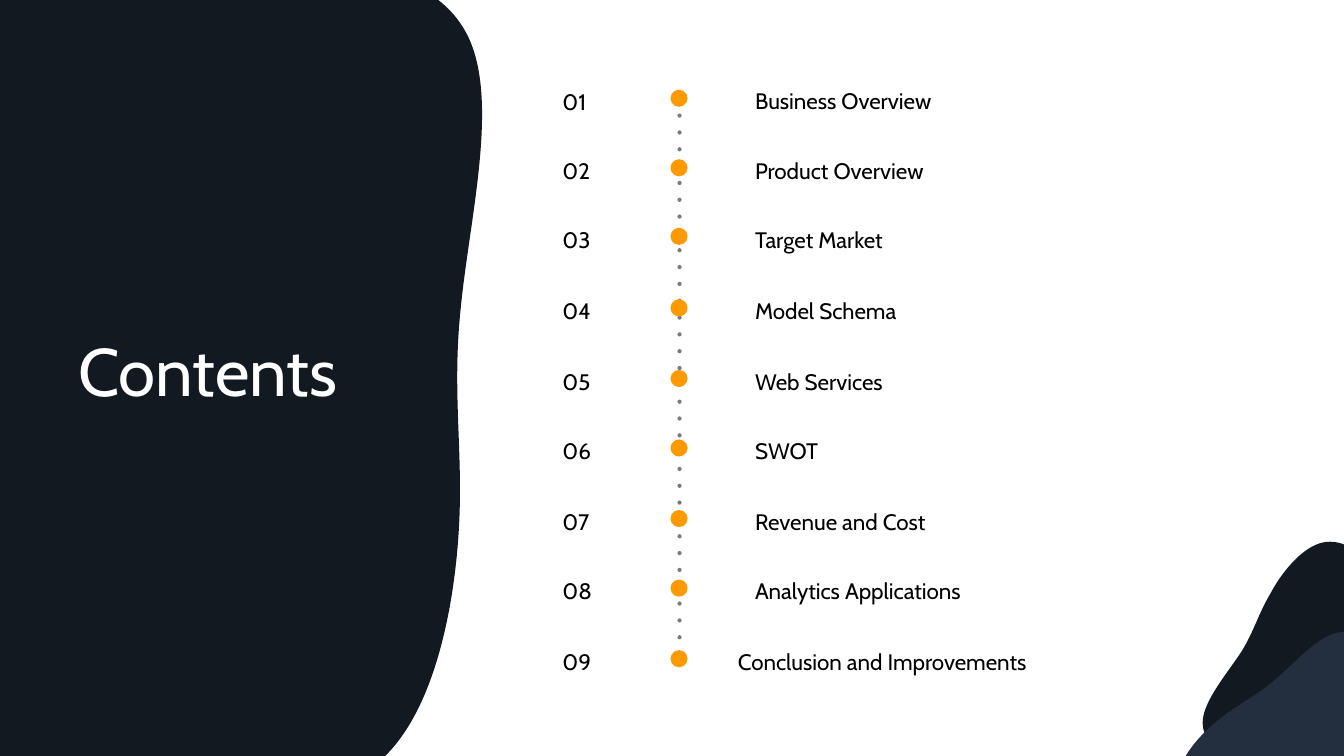
import pptx
import pptx.dml.color
import pptx.enum.shapes
import pptx.enum.text
import pptx.oxml
import pptx.oxml.ns
import pptx.util

Inches, Pt = pptx.util.Inches, pptx.util.Pt
RGBColor = pptx.dml.color.RGBColor
qn = pptx.oxml.ns.qn
NAMESPACE = pptx.oxml.ns.nsdecls("a")

# Content: topic, left edge, top, width
TOPICS = [
    ("Business Overview", 7.39, 0.74, 3.85),
    ("Product Overview", 7.39, 1.43, 2.57),
    ("Target Market", 7.39, 2.11, 2.57),
    ("Model Schema", 7.39, 2.82, 2.57),
    ("Web Services", 7.39, 3.52, 2.57),
    ("SWOT", 7.39, 4.21, 2.57),
    ("Revenue and Cost", 7.39, 4.91, 2.57),
    ("Analytics Applications", 7.39, 5.6, 2.57),
    ("Conclusion and Improvements", 7.22, 6.3, 3.29),
]

# Look
FONT = "Cabin"
INK = RGBColor(0x13, 0x19, 0x21)
NAVY = RGBColor(0x23, 0x2F, 0x3E)
ORANGE = RGBColor(0xFF, 0x99, 0x00)
GRAY = RGBColor(0x59, 0x59, 0x59)
BLACK = RGBColor(0x00, 0x00, 0x00)
WHITE = RGBColor(0xFF, 0xFF, 0xFF)

# Agenda layout
NUMBER_LEFT, AXIS_X = 5.48, 6.74
DOT_LEFT, DOT_DROP, DOT_SIZE = 6.65, 0.15, 0.17

# Outlines: start point, then segments of 2 values (line) or 6 (Bezier curve)
PANEL = [
    (2.91, -0.35),
    (3.67, -0.37, 4.44, -0.19, 4.68, 0.45),
    (4.93, 1.11, 4.65, 2.22, 4.57, 3.06),
    (4.48, 3.91, 4.6, 4.49, 4.55, 5.28),
    (4.5, 6.07, 4.3, 7.05, 3.8, 7.52),
    (3.37, 7.93, 2.72, 7.94, 2.13, 7.68),
    (1.96, 7.59), (1.96, 7.69), (0, 7.69), (0, -0.15), (1.81, -0.15), (1.82, -0.15),
    (2.16, -0.29, 2.53, -0.35, 2.91, -0.35),
]
BACK_HILL = [
    (11.93, 7.14),
    (11.95, 6.94, 12.17, 6.68, 12.31, 6.47),
    (12.44, 6.26, 12.48, 6.09, 12.6, 5.89),
    (12.71, 5.68, 12.9, 5.45, 13.09, 5.39),
    (13.28, 5.33, 13.48, 5.45, 13.6, 5.63),
    (13.72, 5.82, 13.76, 6.07, 13.73, 6.33),
    (13.7, 6.58, 13.6, 6.83, 13.46, 7.07),
    (13.31, 7.31, 13.13, 7.53, 12.93, 7.63),
    (12.72, 7.72, 12.5, 7.68, 12.3, 7.59),
    (12.09, 7.49, 11.91, 7.34, 11.93, 7.14),
]
FRONT_HILL = [
    (13.25, 6.28),
    (13.05, 6.33, 12.83, 6.59, 12.64, 6.75),
    (12.45, 6.91, 12.29, 6.98, 12.1, 7.13),
    (11.92, 7.27, 11.72, 7.49, 11.69, 7.68),
    (11.66, 7.88, 11.8, 8.06, 12, 8.15),
    (12.2, 8.24, 12.46, 8.25, 12.71, 8.18),
    (12.95, 8.11, 13.19, 7.98, 13.4, 7.8),
    (13.62, 7.62, 13.81, 7.41, 13.87, 7.19),
    (13.94, 6.98, 13.86, 6.76, 13.74, 6.57),
    (13.62, 6.39, 13.45, 6.23, 13.25, 6.28),
]


def paint(shape, color):
    shape.shadow.inherit = False
    shape.fill.solid()
    shape.fill.fore_color.rgb = color
    shape.line.fill.background()


def add_blob(slide, outline, color):
    corners = [
        (Inches(segment[i]), Inches(segment[i + 1]))
        for segment in outline for i in range(0, len(segment), 2)
    ]
    builder = slide.shapes.build_freeform(*corners[0])
    builder.add_line_segments(corners[1:], close=True)
    blob = builder.convert_to_shape()
    paint(blob, color)

    # Join the three points of each curved segment into one Bezier curve
    steps = iter(list(blob.element.iter(qn("a:lnTo"))))
    for segment in outline[1:]:
        first = next(steps)
        if len(segment) == 6:
            curve = pptx.oxml.parse_xml(f"<a:cubicBezTo {NAMESPACE}/>")
            first.addprevious(curve)
            for step in (first, next(steps), next(steps)):
                curve.append(step.find(qn("a:pt")))
                step.getparent().remove(step)


def add_label(slide, text, left, top, width, height, size=16, color=BLACK, spacing=1.3):
    box = slide.shapes.add_textbox(Inches(left), Inches(top), Inches(width), Inches(height))
    frame = box.text_frame
    frame.word_wrap = True
    frame.auto_size = pptx.enum.text.MSO_AUTO_SIZE.SHAPE_TO_FIT_TEXT
    paragraph = frame.paragraphs[0]
    paragraph.text = text
    paragraph.line_spacing = spacing
    paragraph.font.name = FONT
    paragraph.font.size = Pt(size)
    paragraph.font.color.rgb = color


def add_dotted_axis(slide, x, top, bottom):
    axis = slide.shapes.add_connector(
        pptx.enum.shapes.MSO_CONNECTOR.STRAIGHT,
        Inches(x), Inches(top), Inches(x), Inches(bottom))
    axis.line.color.rgb = GRAY
    axis.line.width = Pt(3)
    properties = axis.element.spPr
    line = properties.find(qn("a:ln"))
    line.set("cap", "rnd")
    line.find(".//" + qn("a:srgbClr")).append(
        pptx.oxml.parse_xml(f'<a:alpha {NAMESPACE} val="80000"/>'))
    line.append(pptx.oxml.parse_xml(f'<a:prstDash {NAMESPACE} val="dot"/>'))
    properties.append(pptx.oxml.parse_xml(f"<a:effectLst {NAMESPACE}/>"))


def main():
    presentation = pptx.Presentation()
    presentation.slide_width = Inches(13.33)
    presentation.slide_height = Inches(7.5)
    slide = presentation.slides.add_slide(presentation.slide_layouts[6])

    # Title panel
    add_blob(slide, PANEL, INK)
    add_label(slide, "Contents", 0.68, 3.22, 2.95, 0.91, size=48, color=WHITE, spacing=1.0)

    # Agenda
    add_dotted_axis(slide, AXIS_X, 0.98, 6.5)
    for number, (topic, left, top, width) in enumerate(TOPICS, start=1):
        dot = slide.shapes.add_shape(
            pptx.enum.shapes.MSO_SHAPE.OVAL,
            Inches(DOT_LEFT), Inches(top + DOT_DROP), Inches(DOT_SIZE), Inches(DOT_SIZE))
        paint(dot, ORANGE)
        add_label(slide, f"{number:02}", NUMBER_LEFT, top, 0.81, 0.42)
        add_label(slide, topic, left, top, width, 0.37)

    # Corner hills
    add_blob(slide, BACK_HILL, INK)
    add_blob(slide, FRONT_HILL, NAVY)

    presentation.save("out.pptx")


if __name__ == "__main__":
    main()
